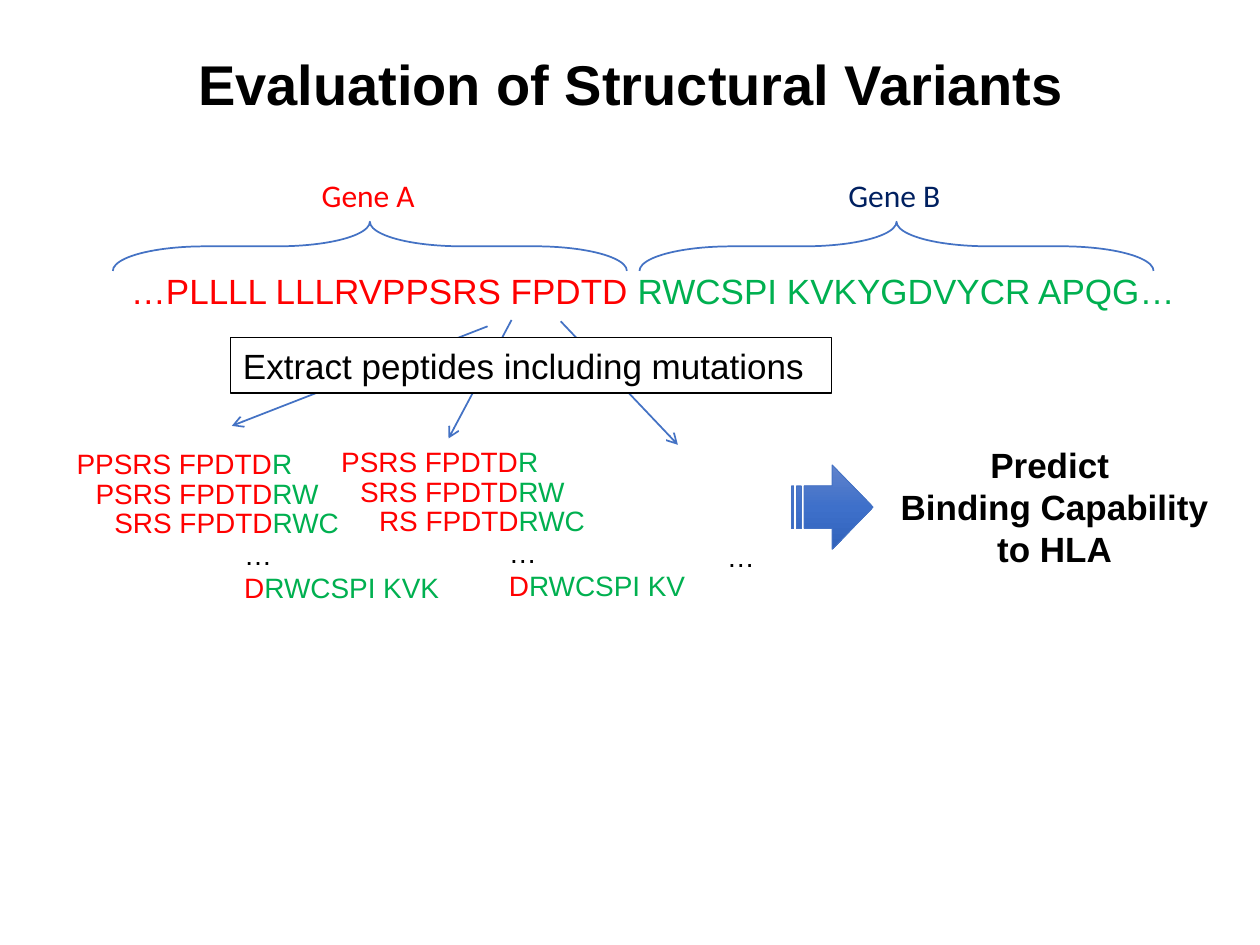
from copy import deepcopy

from lxml import etree
from pptx import Presentation
from pptx.dml.color import RGBColor
from pptx.enum.shapes import MSO_CONNECTOR, MSO_SHAPE
from pptx.enum.text import MSO_AUTO_SIZE, PP_ALIGN
from pptx.oxml.ns import qn
from pptx.util import Inches, Pt

LEFT, CENTER = PP_ALIGN.LEFT, PP_ALIGN.CENTER
FIXED, GROW = MSO_AUTO_SIZE.NONE, MSO_AUTO_SIZE.SHAPE_TO_FIT_TEXT
RECTANGLE, LEFT_BRACE = MSO_SHAPE.RECTANGLE, MSO_SHAPE.LEFT_BRACE
STRIPED_ARROW = MSO_SHAPE.STRIPED_RIGHT_ARROW
STRAIGHT = MSO_CONNECTOR.STRAIGHT

BLACK = RGBColor(0x00, 0x00, 0x00)
WHITE = RGBColor(0xFF, 0xFF, 0xFF)
RED = RGBColor(0xFF, 0x00, 0x00)
GREEN = RGBColor(0x00, 0xB0, 0x50)
NAVY = RGBColor(0x00, 0x20, 0x60)
BLUE = RGBColor(0x44, 0x72, 0xC4)
GRADIENT = (RGBColor(0x61, 0x83, 0xCB), RGBColor(0x3E, 0x70, 0xCA),
            RGBColor(0x30, 0x62, 0xBB))

COLUMNS, ROWS = 100, 75
WIDTH, HEIGHT = Inches(10), Inches(7.5)


def grid(*values):
    units = (WIDTH / COLUMNS, HEIGHT / ROWS)
    return [round(value * units[index % 2]) for index, value in enumerate(values)]


def write(shape, lines, size, font="Arial", align=LEFT, bold=False, wrap=False):
    frame = shape.text_frame
    frame.word_wrap = wrap
    frame.auto_size = FIXED if wrap else GROW
    for index, line in enumerate(lines):
        paragraph = frame.paragraphs[0] if index == 0 else frame.add_paragraph()
        paragraph.alignment = align
        paragraph.font.name = font
        paragraph.font.size = Pt(size)
        paragraph.font.bold = bold
        for text, color in line:
            run = paragraph.add_run()
            run.text = text
            run.font.color.rgb = color
    return frame


def add_text(slide, box, lines, size, **style):
    return write(slide.shapes.add_textbox(*grid(*box)), lines, size, **style)


def add_title(slide, box):
    frame = add_text(slide, box, [[("Evaluation of Structural Variants", BLACK)]], 32,
                     align=CENTER, bold=True, wrap=True)
    frame.paragraphs[0].line_spacing = 0.9


def add_gene(slide, box, name, color):
    left, top, width, height = box
    center = left + width / 2
    add_text(slide, (center - 4.8, top, 9.4, 4), [[(name, color)]], 18, font="Calibri")
    depth = 3.9
    middle = top + height - depth / 2
    brace = slide.shapes.add_shape(
        LEFT_BRACE, *grid(center - depth / 2, middle - width / 2, depth, width))
    brace.rotation = 90
    brace.adjustments[0] = 1.871
    brace.adjustments[1] = 0.5
    brace.shadow.inherit = False
    brace.fill.background()
    brace.line.color.rgb = BLUE
    brace.line.width = Pt(1)


def add_arrow(slide, start, end):
    arrow = slide.shapes.add_connector(STRAIGHT, *grid(*start, *end))
    arrow.line.color.rgb = BLUE
    arrow.line.width = Pt(1)
    etree.SubElement(arrow.line._get_or_add_ln(), qn("a:tailEnd"), type="arrow")
    etree.SubElement(arrow._element.spPr, qn("a:effectLst"))


def add_extraction(slide, box):
    left, top, width, height = box
    for start, end in (((20.4, -0.9), (0.1, 7)), ((22.3, -1.4), (17.3, 8)),
                       ((26.2, -1.3), (35.5, 8.5))):
        add_arrow(slide, (left + start[0], top + start[1]),
                  (left + end[0], top + end[1]))
    label = slide.shapes.add_shape(RECTANGLE, *grid(*box))
    label.shadow.inherit = False
    label.fill.solid()
    label.fill.fore_color.rgb = WHITE
    label.line.color.rgb = BLACK
    label.line.width = Pt(0.75)
    write(label, [[("Extract peptides including mutations", BLACK)]], 20)


def add_peptides(slide, box, first, last):
    left, top, width, height = box
    for index, (tail, extra) in enumerate((("R", 0), ("RW", 0.6), ("RWC", 0.7))):
        add_text(slide, (left + 1.5 * index, top + 2.35 * index, width + extra, 3.7),
                 [[(first[index:], RED), (tail, GREEN)]], 16)
    add_text(slide, (left + 13.3, top + height - 6.4, width - 1.6, 6.4),
             [[("…", BLACK)], [("D", RED), (last, GREEN)]], 16)


def add_prediction(slide, box):
    left, top, width, height = box
    arrow = slide.shapes.add_shape(STRIPED_ARROW, *grid(left, top + 2.2, 6.5, 6.7))
    arrow.shadow.inherit = False
    arrow.line.color.rgb = BLUE
    arrow.line.width = Pt(0.5)
    arrow.fill.gradient()
    arrow.fill.gradient_angle = 270
    stops = arrow._element.spPr.find(qn("a:gradFill")).find(qn("a:gsLst"))
    stops.insert(1, deepcopy(stops[0]))
    for stop, position, color in zip(arrow.fill.gradient_stops, (0, 0.5, 1), GRADIENT):
        stop.position = position
        stop.color.rgb = color
    lines = [[(text, BLACK)] for text in ("Predict ", "Binding Capability", "to HLA")]
    add_text(slide, (left + 7.6, top, width - 7.6, height), lines, 20,
             align=CENTER, bold=True)


def main():
    presentation = Presentation()
    presentation.slide_width, presentation.slide_height = WIDTH, HEIGHT
    slide = presentation.slides.add_slide(presentation.slide_layouts[6])
    add_text(slide, (9.4, 20.9, 87.5, 4.4),
             [[("…PLLLL LLLRVPPSRS FPDTD ", RED),
               ("RWCSPI KVKYGDVYCR APQG…", GREEN)]], 20)
    add_peptides(slide, (5.1, 34.95, 19.3, 13.6), "PPSRS FPDTD", "RWCSPI KVK")
    add_peptides(slide, (26.1, 34.8, 17.8, 13.6), "PSRS FPDTD", "RWCSPI KV")
    add_text(slide, (56.7, 42.3, 4.3, 3.7), [[("…", BLACK)]], 16)
    add_prediction(slide, (62.8, 34.7, 34.2, 11.1))
    add_extraction(slide, (18.3, 26.8, 47.7, 4.4))
    add_title(slide, (5.1, 4, 90, 12.5))
    add_gene(slide, (8.95, 13.5, 40.8, 8), "Gene A", RED)
    add_gene(slide, (50.75, 13.5, 40.8, 8), "Gene B", NAVY)
    presentation.save("out.pptx")


if __name__ == "__main__":
    main()
